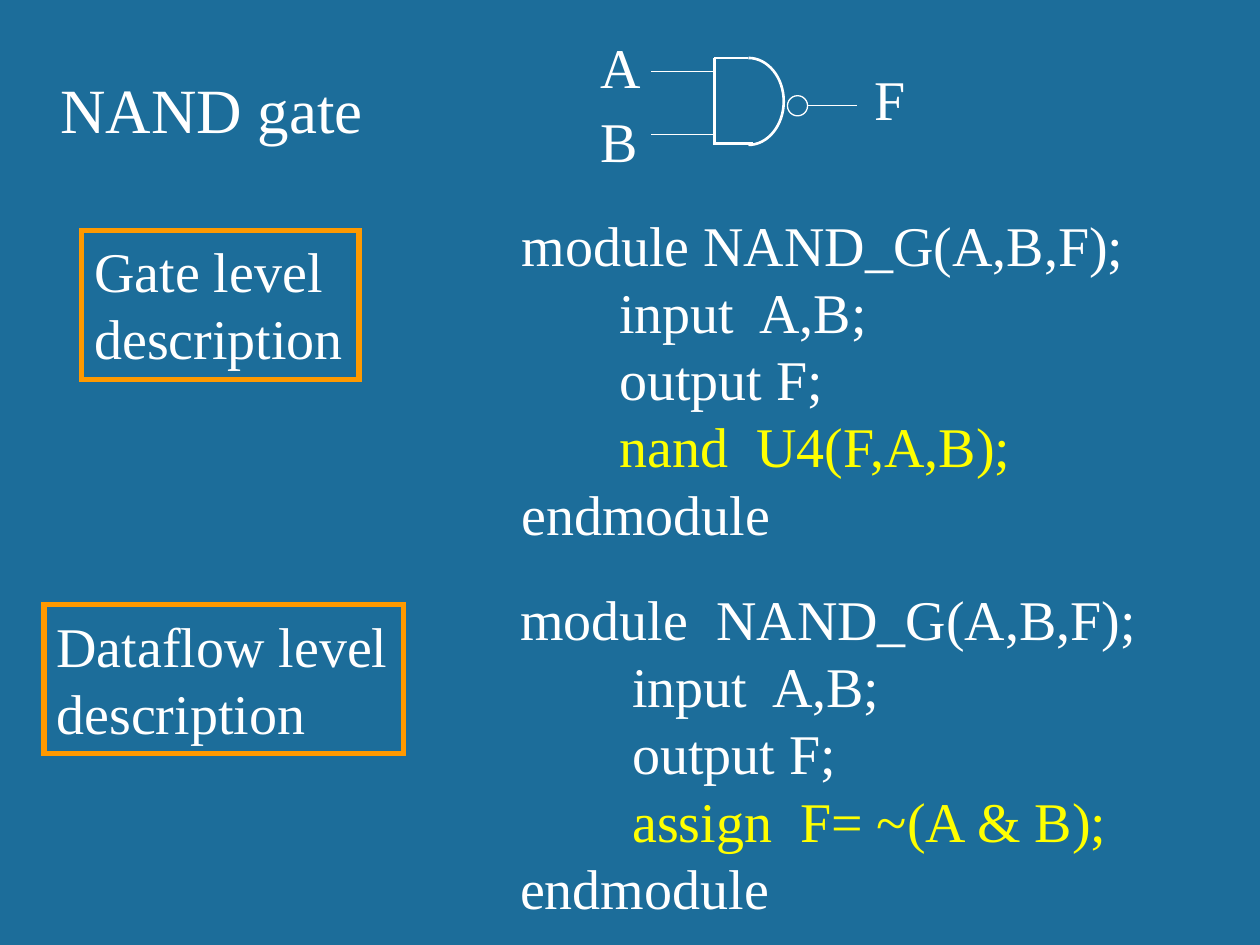
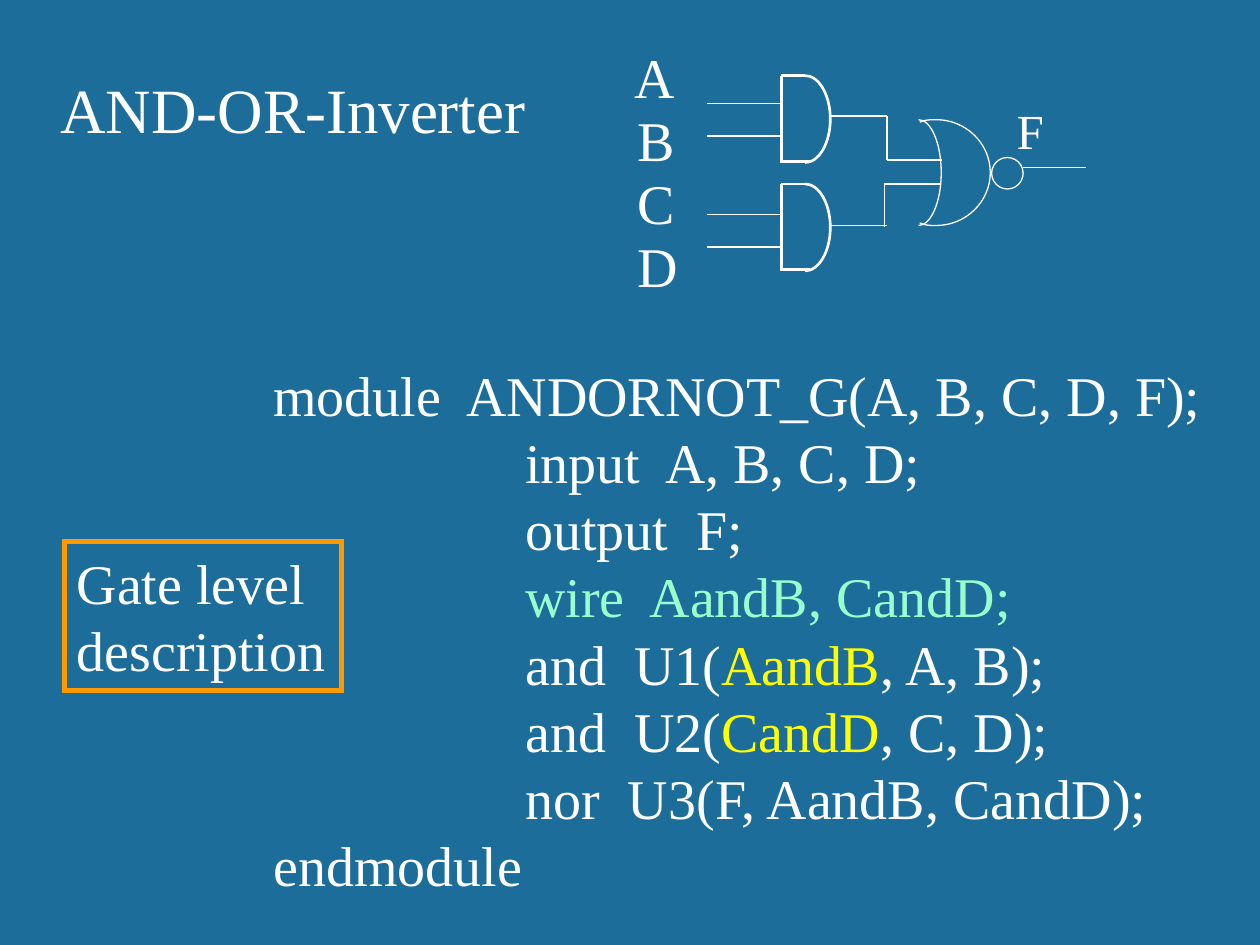
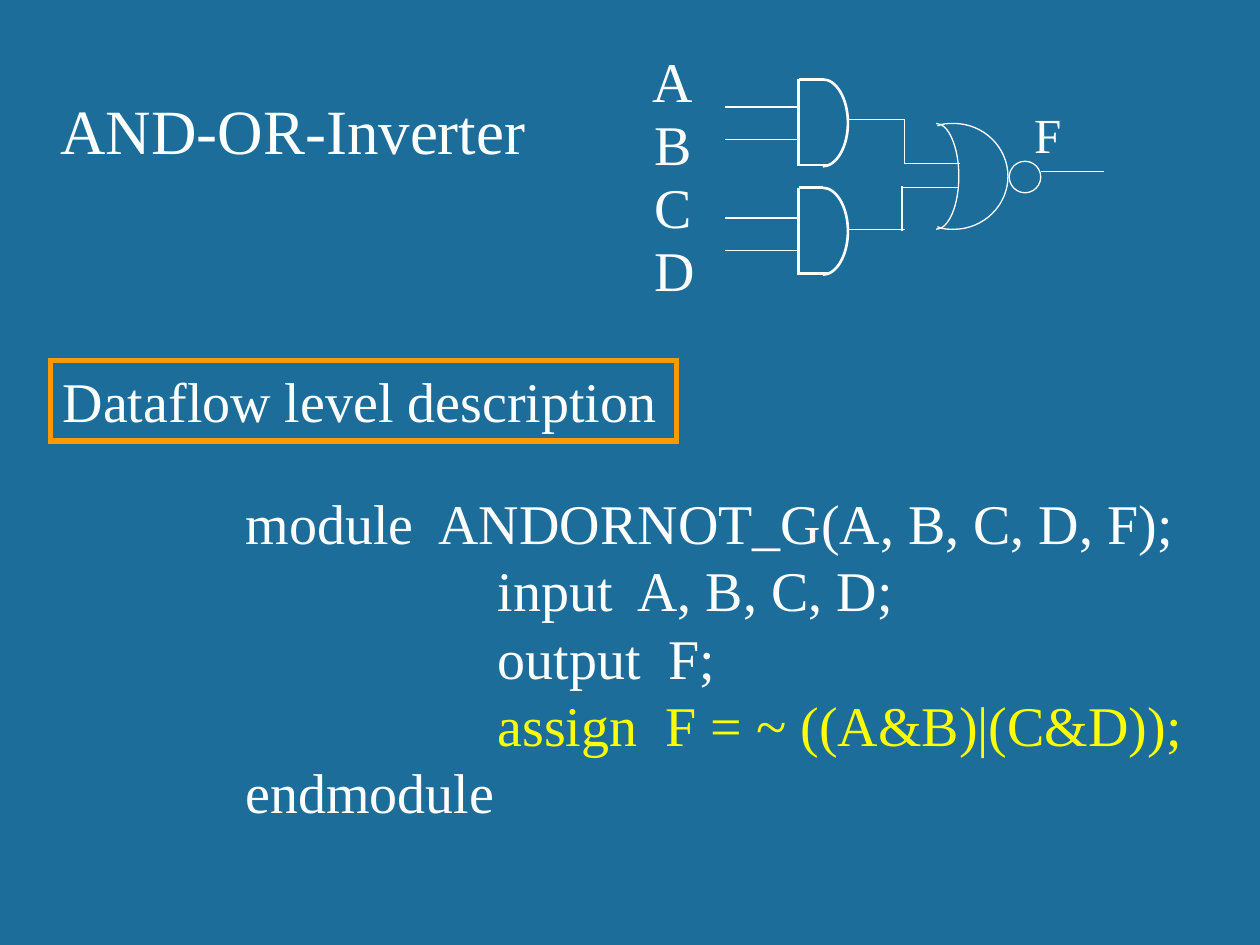
from lxml import etree
from pptx import Presentation
from pptx.dml.color import RGBColor
from pptx.enum.shapes import MSO_CONNECTOR, MSO_SHAPE
from pptx.enum.text import MSO_ANCHOR, PP_ALIGN
from pptx.oxml.ns import qn
from pptx.util import Inches, Pt

STRAIGHT = MSO_CONNECTOR.STRAIGHT
RECTANGLE = MSO_SHAPE.RECTANGLE
OVAL = MSO_SHAPE.OVAL
TOP = MSO_ANCHOR.TOP
LEFT = PP_ALIGN.LEFT

BLUE = RGBColor(0x1C, 0x6D, 0x9A)
WHITE = RGBColor(0xFF, 0xFF, 0xFF)
ORANGE = RGBColor(0xFF, 0x99, 0x00)
YELLOW = RGBColor(0xFF, 0xFF, 0x00)
MINT = RGBColor(0x99, 0xFF, 0xCC)

FONT = "Times New Roman"
THIN = 0.75
THICK = 1.5
GATE_HEIGHT = 0.69
ROUNDNESS = 0.55
TABS = "      \t\t"


def add_tab_stops(paragraph):
    stops = etree.SubElement(paragraph._p.get_or_add_pPr(), qn("a:tabLst"))
    for position in (1, 2):
        etree.SubElement(stops, qn("a:tab"), pos=str(Inches(position)), algn="l")


def write_text(shape, lines, size=32, color=WHITE):
    frame = shape.text_frame
    frame.word_wrap = True
    frame.vertical_anchor = TOP
    for index, line in enumerate(lines):
        paragraph = frame.paragraphs[0] if index == 0 else frame.add_paragraph()
        paragraph.alignment = LEFT
        pieces = line if isinstance(line, list) else [line]
        if TABS in pieces:
            add_tab_stops(paragraph)
        for piece in pieces:
            text, piece_color = piece if isinstance(piece, tuple) else (piece, color)
            run = paragraph.add_run()
            run.text = text
            run.font.name = FONT
            run.font.size = Pt(size)
            run.font.color.rgb = piece_color


def add_text(shapes, left, top, width, height, lines, **text_format):
    box = shapes.add_textbox(Inches(left), Inches(top), Inches(width), Inches(height))
    write_text(box, lines, **text_format)


def style_outline(shape, color, weight):
    shape.shadow.inherit = False
    shape.fill.background()
    shape.line.color.rgb = color
    shape.line.width = Pt(weight)
    etree.SubElement(shape.line._get_or_add_ln(), qn("a:miter"), lim="800000")


def add_outline(shapes, kind, left, top, width, height, color=WHITE, weight=THIN):
    shape = shapes.add_shape(kind, Inches(left), Inches(top), Inches(width), Inches(height))
    style_outline(shape, color, weight)
    return shape


def add_line(shapes, x1, y1, x2, y2, weight=THIN):
    line = shapes.add_connector(STRAIGHT, Inches(x1), Inches(y1), Inches(x2), Inches(y2))
    line.line.color.rgb = WHITE
    line.line.width = Pt(weight)
    etree.SubElement(line._element.spPr, qn("a:effectLst"))


def turn_into_curves(shape):
    outline = shape._element.find(".//" + qn("a:path"))
    segments = outline.findall(qn("a:lnTo"))
    for start in range(0, len(segments), 3):
        curve = etree.SubElement(outline, qn("a:cubicBezTo"))
        for segment in segments[start:start + 3]:
            curve.append(segment[0])
            outline.remove(segment)


def add_arc(shapes, center_x, center_y, radius_x, radius_y, tail=0, weight=THIN):
    bend_x, bend_y = ROUNDNESS * radius_x, ROUNDNESS * radius_y
    upper = [(0, -radius_y), (bend_x, -radius_y), (radius_x, -bend_y)]
    if tail:
        upper = [(-tail, 0.02 - radius_y), (-tail * 2 / 3, -radius_y),
                 (-tail / 3, -radius_y), *upper]
    lower = [(x, -y) for x, y in reversed(upper)]
    points = [(Inches(center_x + x), Inches(center_y + y))
              for x, y in [*upper, (radius_x, 0), *lower]]
    builder = shapes.build_freeform(*points[0])
    builder.add_line_segments(points[1:], close=False)
    shape = builder.convert_to_shape()
    turn_into_curves(shape)
    style_outline(shape, WHITE, weight)


def add_and_gate(shapes, left, top, flat, bulge):
    bottom = top + GATE_HEIGHT
    add_arc(shapes, left + flat, top + GATE_HEIGHT / 2, bulge, GATE_HEIGHT / 2, weight=THICK)
    add_line(shapes, left + flat, top, left, top, THICK)
    add_line(shapes, left + flat + 0.04, bottom - 0.01, left, bottom - 0.01, THICK)
    add_line(shapes, left, top, left, bottom, THICK)


def add_nor_gate(shapes, left, middle):
    add_arc(shapes, left, middle, 0.18, 0.42)
    add_arc(shapes, left + 0.14, middle, 0.43, 0.42, tail=0.13)
    add_outline(shapes, OVAL, left + 0.58, middle - 0.12, 0.25, 0.25)


def add_nand_circuit(slide, left, top):
    shapes = slide.shapes.add_group_shape().shapes
    for y in (0.36, 0.86):
        add_line(shapes, left + 1, top + y, left + 0.5, top + y)
    add_line(shapes, left + 1.74, top + 0.63, left + 2.13, top + 0.63)
    for label, x, y in (("A", 0, 0), ("B", 0, 0.59), ("F", 2.17, 0.25)):
        add_text(shapes, left + x, top + y, 0.53, 0.64, [label])
    add_outline(shapes, OVAL, left + 1.58, top + 0.55, 0.16, 0.16)
    add_and_gate(shapes, left + 1, top + 0.25, 0.27, 0.28)


def add_inverter_circuit(slide, left, top):
    shapes = slide.shapes.add_group_shape().shapes
    for index, label in enumerate("ABCD"):
        x = 0.08 if index == 0 else 0.1
        add_text(shapes, left + x, top + 0.5 * index, 0.53, 0.64, [label])
    for y in (0.53, 0.79, 1.41, 1.67):
        add_line(shapes, left + 1.33, top + y, left + 0.75, top + y)
    for gate_top in (0.31, 1.17):
        add_and_gate(shapes, left + 1.34, top + gate_top, 0.19, 0.2)
    wires = (
        (1.73, 0.63, 2.18, 0.63), (2.18, 0.63, 2.18, 0.98), (2.18, 0.98, 2.62, 0.98),
        (1.73, 1.5, 2.18, 1.5), (2.16, 1.16, 2.16, 1.51), (2.16, 1.17, 2.61, 1.17),
        (3.26, 1.04, 3.76, 1.04),
    )
    for x1, y1, x2, y2 in wires:
        add_line(shapes, left + x1, top + y1, left + x2, top + y2)
    add_nor_gate(shapes, left + 2.43, top + 1.08)
    add_text(shapes, left + 3.11, top + 0.46, 0.42, 0.57, ["F"], size=28)


def add_level_box(slide, left, top, width, lines):
    height = 0.1 + 0.54 * len(lines)
    box = add_outline(slide.shapes, RECTANGLE, left, top, width, height, ORANGE, 3)
    write_text(box, lines)


def add_module(slide, left, top, width, header, body, indent):
    rows = [[indent, *(line if isinstance(line, list) else [line])] for line in body]
    lines = [header, *rows, "endmodule"]
    add_text(slide.shapes, left, top, width, 0.1 + 0.54 * len(lines), lines)


def add_titled_slide(presentation, title, top=0.51):
    slide = presentation.slides.add_slide(presentation.slide_layouts[6])
    add_text(slide.shapes, 0.38, top, 4.06, 0.71, [title], size=36)
    return slide


def build_nand_slide(presentation):
    slide = add_titled_slide(presentation, "NAND gate")
    add_nand_circuit(slide, 4.67, 0.21)
    add_module(slide, 4.04, 1.62, 5.59, "module NAND_G(A,B,F);",
               ["input  A,B;", "output F;", ("nand  U4(F,A,B);", YELLOW)], " " * 7)
    add_module(slide, 4.03, 4.59, 5.9, "module  NAND_G(A,B,F);",
               ["input  A,B;", "output F;", ("assign  F= ~(A & B);", YELLOW)], " " * 8)
    add_level_box(slide, 0.65, 1.83, 2.2, ["Gate level", "description"])
    add_level_box(slide, 0.35, 4.8, 2.85, ["Dataflow level", "description"])


def build_inverter_slide(presentation, title_top, circuit_at, module_at, body, level_box):
    slide = add_titled_slide(presentation, "AND-OR-Inverter", title_top)
    add_inverter_circuit(slide, *circuit_at)
    add_module(slide, *module_at, 8.15, "module  ANDORNOT_G(A, B, C, D, F);",
               ["input  A, B, C, D;", "output  F;", *body], TABS)
    add_level_box(slide, *level_box)


def main():
    presentation = Presentation()
    presentation.slide_width = Inches(10)
    presentation.slide_height = Inches(7.5)
    background = presentation.slide_master.background.fill
    background.solid()
    background.fore_color.rgb = BLUE

    build_nand_slide(presentation)
    gate_body = [
        ("wire  AandB, CandD;", MINT),
        ["and  U1(", ("AandB", YELLOW), ", A, B);"],
        ["and  U2(", ("CandD", YELLOW), ", C, D);"],
        "nor  U3(F, AandB, CandD);",
    ]
    build_inverter_slide(presentation, 0.51, (4.86, 0.29), (2.07, 2.81), gate_body,
                         (0.51, 4.3, 2.2, ["Gate level", "description"]))
    dataflow_body = [("assign  F = ~ ((A&B)|(C&D));", YELLOW)]
    build_inverter_slide(presentation, 0.68, (5, 0.32), (1.85, 3.83), dataflow_body,
                         (0.4, 2.86, 4.97, ["Dataflow level description"]))
    presentation.save("out.pptx")


if __name__ == "__main__":
    main()
